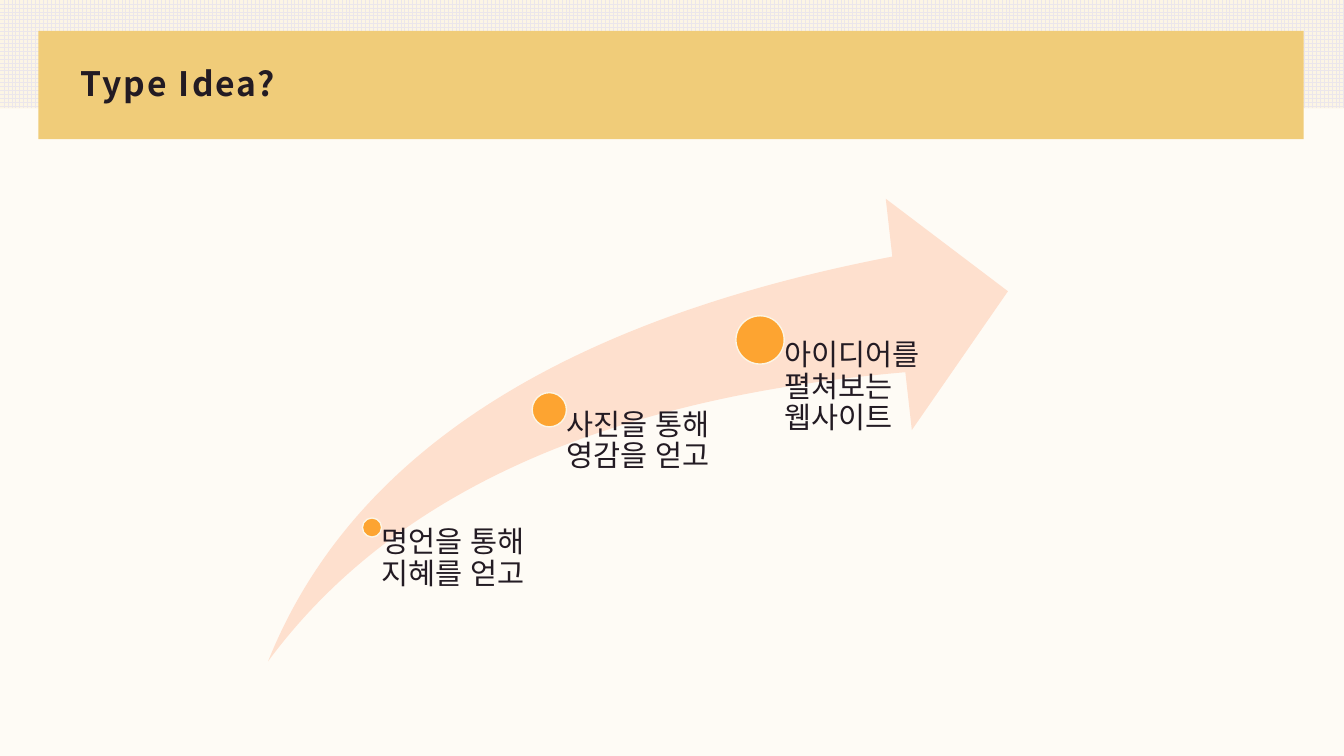
import dataclasses

import pptx
import pptx.dml.color
import pptx.enum.dml
import pptx.enum.lang
import pptx.enum.shapes
import pptx.enum.text
import pptx.oxml
import pptx.oxml.ns
import pptx.util

Pt = pptx.util.Pt
SHAPES = pptx.enum.shapes.MSO_SHAPE


@dataclasses.dataclass(frozen=True)
class Theme:
    backdrop: str = "FEFBF5"
    cream: str = "FCF5E5"
    grid: str = "EBE6EB"
    banner: str = "F0CC79"
    ink: str = "231B23"
    swoosh: str = "FEE0CE"
    dot: str = "FDA431"
    title_font: str = "Noto Sans CJK KR"
    body_font: str = "Noto Sans CJK JP"
    title_size: float = 24
    body_size: float = 21


def rgb(value):
    return pptx.dml.color.RGBColor.from_string(value)


def write_text(frame, text, *, font, size, color, bold=False, tracking=0):
    para = frame.paragraphs[0]
    para.line_spacing = 0.9
    span = para.add_run()
    span.text = text
    span.font.name = font
    span.font.size = Pt(size)
    span.font.bold = bold
    span.font.color.rgb = rgb(color)
    span.font.language_id = pptx.enum.lang.MSO_LANGUAGE_ID.KOREAN
    properties = span.font._element
    properties.set("spc", str(round(tracking * 100)))
    east_asian = pptx.oxml.parse_xml(
        f'<a:ea {pptx.oxml.ns.nsdecls("a")} typeface="{font}"/>'
    )
    properties.find(pptx.oxml.ns.qn("a:latin")).addnext(east_asian)


class SlideBuilder:
    def __init__(self, page, theme):
        self.page = page
        self.theme = theme

    def background(self):
        fill = self.page.background.fill
        fill.solid()
        fill.fore_color.rgb = rgb(self.theme.backdrop)

    def shape(self, kind, left, top, width, height, color, outline=None):
        shape = self.page.shapes.add_shape(
            kind, Pt(left), Pt(top), Pt(width), Pt(height)
        )
        shape.shadow.inherit = False
        shape.fill.solid()
        shape.fill.fore_color.rgb = rgb(color)
        if outline:
            shape.line.color.rgb = rgb(outline)
            shape.line.width = Pt(1)
        else:
            shape.line.fill.background()
        return shape

    def grid_band(self, width, height):
        band = self.shape(SHAPES.RECTANGLE, 0, 0, width, height, self.theme.cream)
        band.fill.patterned()
        band.fill.pattern = pptx.enum.dml.MSO_PATTERN.LARGE_GRID
        band.fill.fore_color.rgb = rgb(self.theme.grid)
        band.fill.back_color.rgb = rgb(self.theme.cream)

    def text_box(self, left, top, width, height):
        box = self.page.shapes.add_textbox(Pt(left), Pt(top), Pt(width), Pt(height))
        box.text_frame.word_wrap = True
        return box.text_frame

    def title(self, text, left, top, width, height):
        frame = self.text_box(left, top, width, height)
        frame.vertical_anchor = pptx.enum.text.MSO_ANCHOR.MIDDLE
        write_text(
            frame, text, font=self.theme.title_font, size=self.theme.title_size,
            color=self.theme.ink, bold=True, tracking=1.5,
        )

    def swoosh(self, left, top, width, height):
        arrow = self.shape(
            SHAPES.SWOOSH_ARROW, left, top, width, height, self.theme.swoosh
        )
        arrow.adjustments[0] = 0.25
        arrow.adjustments[1] = 0.25

    def step(self, text, center_x, center_y, diameter, width, bottom):
        radius = diameter / 2
        self.shape(
            SHAPES.OVAL, center_x - radius, center_y - radius, diameter, diameter,
            self.theme.dot, self.theme.cream,
        )
        frame = self.text_box(center_x, center_y, width, bottom - center_y)
        frame.margin_left = Pt(radius)
        frame.margin_top = frame.margin_right = frame.margin_bottom = 0
        write_text(
            frame, text, font=self.theme.body_font, size=self.theme.body_size,
            color=self.theme.ink,
        )


def main():
    deck = pptx.Presentation()
    deck.slide_width, deck.slide_height = Pt(960), Pt(540)
    theme = Theme()
    builder = SlideBuilder(deck.slides.add_slide(deck.slide_layouts[6]), theme)

    builder.background()
    builder.grid_band(960, 77.5)
    builder.shape(SHAPES.RECTANGLE, 27.5, 22, 903.75, 77.5, theme.banner)
    builder.title("Type Idea?", 50.4, 38, 859, 46)

    swoosh_top, swoosh_height = 142, 330.4
    builder.swoosh(191.5, swoosh_top, 528.5, swoosh_height)
    steps = [
        ("명언을 통해 지혜를 얻고", 265.7, 376.8, 13.7, 123),
        ("사진을 통해 영감을 얻고", 392.4, 292.7, 24.5, 126.7),
        ("아이디어를 펼쳐보는 웹사이트", 542.9, 242.8, 34.5, 126.7),
    ]
    for text, center_x, center_y, diameter, width in steps:
        builder.step(
            text, center_x, center_y, diameter, width, swoosh_top + swoosh_height
        )

    deck.save("out.pptx")


if __name__ == "__main__":
    main()
